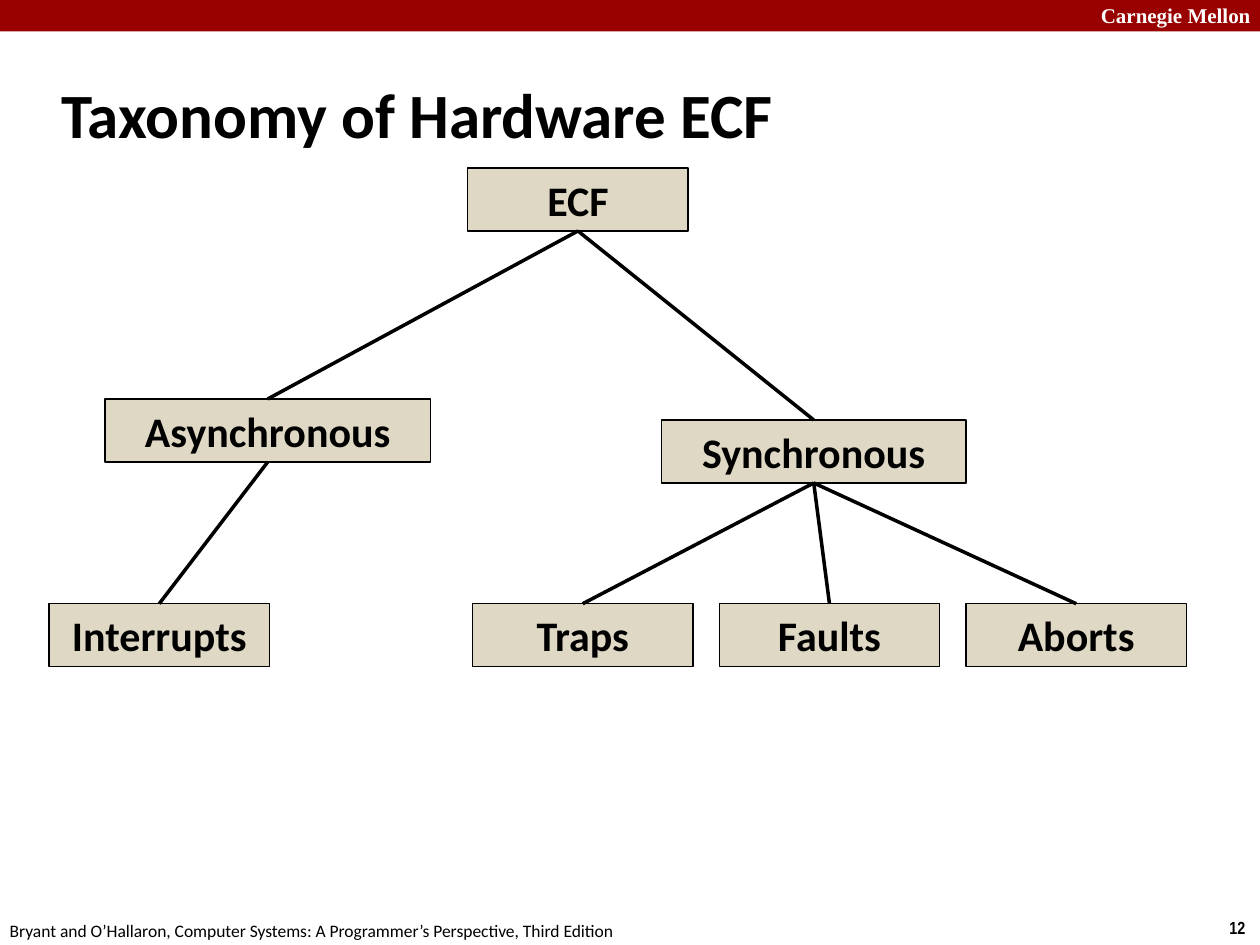
from pptx import Presentation
from pptx.dml.color import RGBColor
from pptx.enum.shapes import MSO_CONNECTOR, MSO_SHAPE
from pptx.enum.text import MSO_ANCHOR, MSO_AUTO_SIZE, PP_ALIGN
from pptx.oxml.ns import qn
from pptx.util import Pt
from lxml.etree import SubElement

COLORS = {"banner": "990000", "node": "DED8C4", "ink": "000000", "paper": "FFFFFF"}
NODE_HEIGHT = 36
LEAF_WIDTH = 126
LEAF_TOP = 345
LEAF_STEP = 141
TRAPS_LEFT = 270

NODES = {
    "ECF": (267.25, 96, LEAF_WIDTH),
    "Asynchronous": (60, 228, 186),
    "Synchronous": (378, 240, 174),
    "Interrupts": (28, LEAF_TOP, LEAF_WIDTH),
} | {
    label: (TRAPS_LEFT + i * LEAF_STEP, LEAF_TOP, LEAF_WIDTH)
    for i, label in enumerate(("Traps", "Faults", "Aborts"))
}
CHILDREN = {
    "ECF": ("Asynchronous", "Synchronous"),
    "Asynchronous": ("Interrupts",),
    "Synchronous": ("Traps", "Faults", "Aborts"),
}


def color(key):
    """Return the named colour."""
    return RGBColor.from_string(COLORS[key])


def add_words(frame, words, size, font="Calibri", ink="ink", bold=True):
    """Write one styled run into the first paragraph of a text frame."""
    run = frame.paragraphs[0].add_run()
    run.text = words
    run.font.size = Pt(size)
    run.font.name = font
    run.font.bold = bold
    run.font.color.rgb = color(ink)


def add_label(slide, box, words, size, wrap=False, anchor=MSO_ANCHOR.TOP, **style):
    """Add a plain text box."""
    frame = slide.shapes.add_textbox(*map(Pt, box)).text_frame
    frame.word_wrap = wrap
    frame.vertical_anchor = anchor
    add_words(frame, words, size, **style)


def add_block(slide, box, fill):
    """Add a flat rectangle without outline."""
    block = slide.shapes.add_shape(MSO_SHAPE.RECTANGLE, *map(Pt, box))
    block.shadow.inherit = False
    block.fill.solid()
    block.fill.fore_color.rgb = color(fill)
    block.line.fill.background()
    return block


def add_node(slide, label, left, top, width):
    """Add a labelled box of the tree."""
    node = add_block(slide, (left, top, width, NODE_HEIGHT), "node")
    node.line.color.rgb = color("ink")
    node.line.width = Pt(0.75)
    frame = node.text_frame
    frame.word_wrap = True
    frame.auto_size = MSO_AUTO_SIZE.SHAPE_TO_FIT_TEXT
    frame.vertical_anchor = MSO_ANCHOR.TOP
    frame.paragraphs[0].alignment = PP_ALIGN.CENTER
    add_words(frame, label, 24)
    return node


def add_branch(slide, parent, child):
    """Join the bottom of a parent to the top of its child."""
    branch = slide.shapes.add_connector(MSO_CONNECTOR.STRAIGHT, 0, 0, 0, 0)
    branch.begin_connect(parent, 2)
    branch.end_connect(child, 0)
    branch.line.color.rgb = color("ink")
    branch.line.width = Pt(2)
    SubElement(branch.element.spPr, qn("a:effectLst"))


def main():
    """Build and save the slide."""
    deck = Presentation()
    deck.slide_width, deck.slide_height = Pt(720), Pt(540)
    slide = deck.slides.add_slide(deck.slide_layouts[6])

    add_block(slide, (0, 0, 720, 18), "banner")
    add_label(slide, (622, -2, 103, 22), "Carnegie Mellon", 12, wrap=True,
              font="Times New Roman", ink="paper")
    add_label(slide, (695.5, 520.5, 24.5, 19.5), "12", 10, font="Arial Narrow")
    add_label(slide, (-1.5, 522, 366, 19.5),
              "Bryant and O’Hallaron, Computer Systems: "
              "A Programmer’s Perspective, Third Edition", 10, bold=False)
    add_label(slide, (28, 34.5, 598, 60), "Taxonomy of Hardware ECF", 36,
              wrap=True, anchor=MSO_ANCHOR.MIDDLE)

    nodes = {label: add_node(slide, label, *place) for label, place in NODES.items()}
    for parent, children in CHILDREN.items():
        for child in children:
            add_branch(slide, nodes[parent], nodes[child])

    deck.save("out.pptx")


if __name__ == "__main__":
    main()
